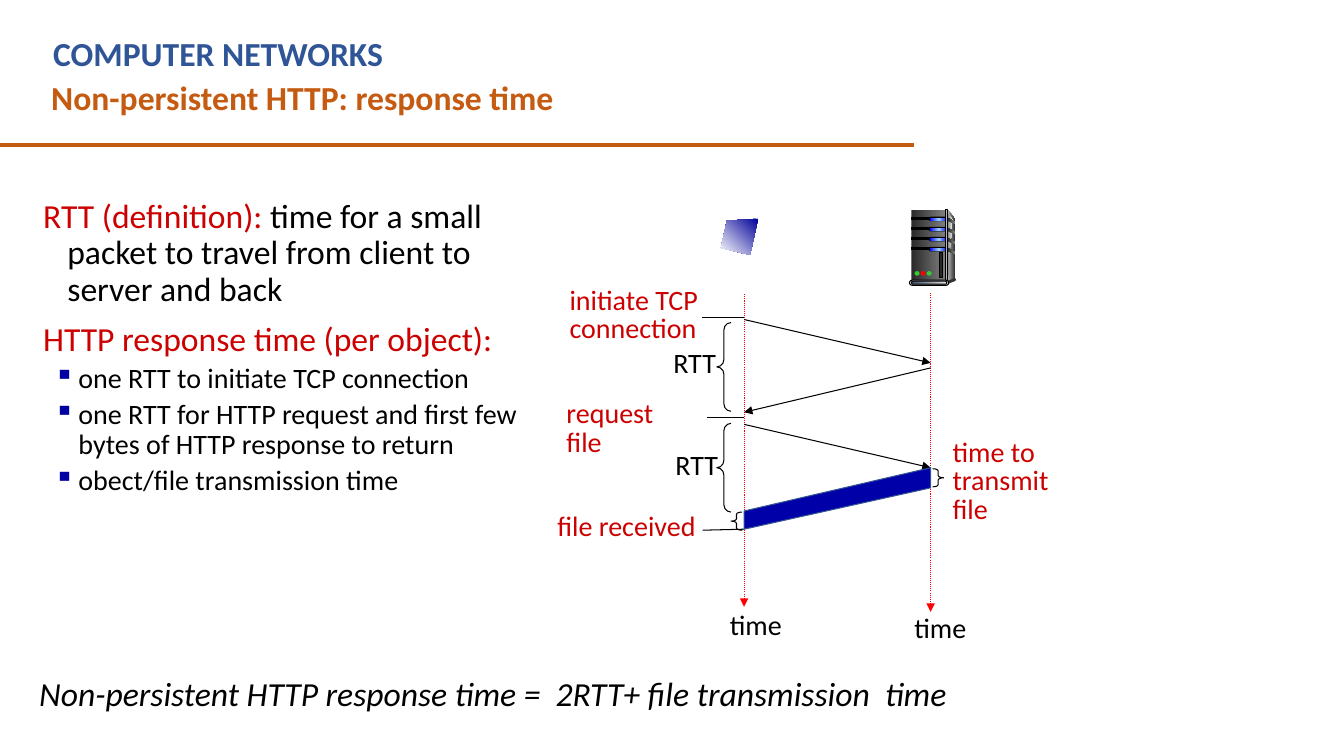
from copy import deepcopy
from dataclasses import dataclass
from typing import Any, Optional

from lxml import etree
from pptx import Presentation
from pptx.dml.color import RGBColor
from pptx.enum.dml import MSO_LINE
from pptx.enum.shapes import MSO_CONNECTOR, MSO_SHAPE
from pptx.enum.text import MSO_AUTO_SIZE
from pptx.oxml.ns import qn
from pptx.util import Emu, Inches, Pt

RECT, ROUND, OVAL = MSO_SHAPE.RECTANGLE, MSO_SHAPE.ROUNDED_RECTANGLE, MSO_SHAPE.OVAL
LEFT_BRACE, RIGHT_BRACE = MSO_SHAPE.LEFT_BRACE, MSO_SHAPE.RIGHT_BRACE
STRAIGHT, DOTTED = MSO_CONNECTOR.STRAIGHT, MSO_LINE.ROUND_DOT
GROW, FIXED = MSO_AUTO_SIZE.SHAPE_TO_FIT_TEXT, MSO_AUTO_SIZE.NONE

BLACK = RGBColor(0x00, 0x00, 0x00)
RED = RGBColor(0xFF, 0x00, 0x00)
CRIMSON = RGBColor(0xCC, 0x00, 0x00)
GREEN = RGBColor(0x33, 0xCC, 0x33)
WHITE = RGBColor(0xFF, 0xFF, 0xFF)
TITLE_BLUE = RGBColor(0x2F, 0x55, 0x97)
ORANGE = RGBColor(0xC5, 0x5A, 0x11)
BULLET_BLUE = RGBColor(0x00, 0x00, 0xA3)
FILE_BLUE = RGBColor(0x00, 0x00, 0xA8)
FILE_EDGE = RGBColor(0x32, 0x54, 0x91)
SCREEN_BLUE = RGBColor(0x00, 0x00, 0x99)
LIGHT_BLUE = RGBColor(0x99, 0xCC, 0xFF)
BLUE = RGBColor(0x00, 0x00, 0xFF)
COAL = RGBColor(0x29, 0x29, 0x29)
DARK = RGBColor(0x33, 0x33, 0x33)
GREY = RGBColor(0x80, 0x80, 0x80)
SILVER = RGBColor(0xDD, 0xDD, 0xDD)
PALE = RGBColor(0xF8, 0xF8, 0xF8)
SLATE = RGBColor(0x44, 0x54, 0x6A)
MIST = RGBColor(0xE7, 0xE6, 0xE6)

COLUMNS, ROWS = 133.3, 75
CELL = Inches(0.1)
CLIENT, SERVER = 73.8, 92.3
Colours = tuple[RGBColor, ...]
Point = tuple[float, float]


@dataclass
class Line:
    start: Point
    end: Point
    colour: RGBColor = BLACK
    width: float = 0.75
    arrow: bool = False
    dotted: bool = False


@dataclass
class Block:
    preset: Any
    area: tuple[float, float, float, float]
    fill: Colours = ()
    line: Optional[RGBColor] = None
    adjust: Optional[float] = None


@dataclass
class Outline:
    points: list[Point]
    fill: Colours
    line: Optional[RGBColor] = None
    angle: float = 0


@dataclass
class Para:
    spans: list[tuple[str, RGBColor]]
    size: float = 20
    spacing: float = 0.85
    before: float = 0
    indent: float = 0
    bullet: bool = False


@dataclass
class Label:
    area: tuple[float, float, float, float]
    paras: list[Para]
    style: dict[str, bool]
    wrap: bool = False
    size_mode: Any = GROW


def cells(*counts: float) -> list[Emu]:
    return [Emu(round(count * CELL)) for count in counts]


def apply(target: Any, values: dict[str, Any]) -> None:
    for name, value in values.items():
        setattr(target, name, value)


def paint(shape: Any, fill: Colours, line: Optional[RGBColor], angle: float = 0) -> None:
    shape.shadow.inherit = False
    if not fill:
        shape.fill.background()
    elif len(fill) == 1:
        shape.fill.solid()
        shape.fill.fore_color.rgb = fill[0]
    else:
        shape.fill.gradient()
        shape.fill.gradient_angle = angle
        stops = shape._element.spPr.find(".//" + qn("a:gsLst"))
        for _ in fill[2:]:
            stops.append(deepcopy(stops[0]))
        for place, (stop, colour) in enumerate(zip(shape.fill.gradient_stops, fill)):
            stop.color.rgb = colour
            stop.position = place / (len(fill) - 1)
    if line is None:
        shape.line.fill.background()
    else:
        shape.line.color.rgb = line
        shape.line.width = Pt(0.75)


def draw_line(shapes: Any, item: Line) -> None:
    connector = shapes.add_connector(STRAIGHT, *cells(*item.start, *item.end))
    connector.line.color.rgb = item.colour
    connector.line.width = Pt(item.width)
    if item.dotted:
        connector.line.dash_style = DOTTED
    properties = connector._element.spPr
    if item.arrow:
        etree.SubElement(properties.find(qn("a:ln")), qn("a:tailEnd"), type="triangle")
    etree.SubElement(properties, qn("a:effectLst"))


def draw_block(shapes: Any, item: Block) -> None:
    shape = shapes.add_shape(item.preset, *cells(*item.area))
    if item.adjust is not None:
        shape.adjustments[0] = item.adjust
    paint(shape, item.fill, item.line)


def draw_outline(shapes: Any, item: Outline) -> None:
    first, *others = [tuple(cells(*point)) for point in item.points]
    builder = shapes.build_freeform(*first)
    builder.add_line_segments(others, close=True)
    paint(builder.convert_to_shape(), item.fill, item.line, item.angle)


def draw_label(shapes: Any, item: Label) -> None:
    frame = shapes.add_textbox(*cells(*item.area)).text_frame
    apply(frame, {"word_wrap": item.wrap, "auto_size": item.size_mode})
    for number, entry in enumerate(item.paras):
        para = frame.add_paragraph() if number else frame.paragraphs[0]
        apply(para, {"line_spacing": entry.spacing, "space_before": Pt(entry.before)})
        properties = para._p.get_or_add_pPr()
        if entry.indent:
            properties.set("marL", str(cells(entry.indent)[0]))
            properties.set("indent", str(cells(-2.4)[0]))
        if entry.bullet:
            colour = etree.SubElement(properties, qn("a:buClr"))
            etree.SubElement(colour, qn("a:srgbClr"), val=str(BULLET_BLUE))
            etree.SubElement(properties, qn("a:buChar"), char="▪")
        for text, tint in entry.spans:
            span = para.add_run()
            span.text = text
            apply(span.font, {"name": "Calibri", "size": Pt(entry.size), **item.style})
            span.font.color.rgb = tint


def draw_server(shapes: Any) -> None:
    tower = shapes.add_group_shape().shapes
    draw_outline(tower, Outline([(94, 20.8), (94.7, 21.7), (94.7, 27.6), (93.8, 27.9)], (SILVER, DARK)))
    draw_block(tower, Block(RECT, (90.4, 20.8, 3.4, 7.1), (COAL, GREY)))
    draw_outline(tower, Outline([(94, 21.2), (94.5, 21.8), (94.2, 24.8), (94, 27.7)], (GREY, PALE)))
    for drive in range(4):
        top = 21.6 + drive
        draw_block(tower, Block(RECT, (90.4, top, 1.9, 0.15), (BLACK,), BLACK))
        draw_block(tower, Block(ROUND, (92.1, top - 0.1, 1.9, 0.45), (BLACK,), adjust=0.5))
        draw_block(tower, Block(ROUND, (92.2, top, 1.8, 0.3), (BLUE, LIGHT_BLUE, BLUE), adjust=0.5))
        slot = [(94, top), (94.7, top + 0.4), (94.7, top + 0.6), (94, top + 0.3)]
        draw_outline(tower, Outline(slot, (COAL, GREY)))
    draw_block(tower, Block(RECT, (93.8, 20.8, 0.2, 7.2), (DARK, SILVER, DARK), BLACK))
    draw_block(tower, Block(OVAL, (94.6, 27.6, 0.2, 0.3), (DARK,)))
    draw_outline(tower, Outline([(93.9, 27.9), (93.9, 28.2), (94.7, 27.9), (94.7, 27.6)], (DARK,)))
    draw_block(tower, Block(ROUND, (90.2, 27.8, 3.9, 0.5), (SILVER,), BLACK, 0.5))
    draw_block(tower, Block(ROUND, (90.4, 27.9, 3.5, 0.3), (SLATE, MIST), BLACK, 0.5))
    for place, colour in enumerate((GREEN, RED, GREEN)):
        draw_block(tower, Block(OVAL, (90.7 + 0.6 * place, 26.9, 0.5, 0.45), (colour,)))
    draw_block(tower, Block(RECT, (93.2, 25.1, 0.3, 2.4), (COAL,), BLACK))


def note(left: float, top: float, width: float, height: float, colour: RGBColor, *lines: str) -> Label:
    return Label((left, top, width, height), [Para([(line, colour)]) for line in lines], {})


def banner(left: float, top: float, width: float, text: str, colour: RGBColor, style: dict[str, bool]) -> Label:
    return Label((left, top, width, 5), [Para([(text, colour)], 24, 1)], style, True)


DEFINITIONS = [
    Para([("RTT (definition):", CRIMSON),
          (" time for a small packet to travel from client to server and back", BLACK)], 24, 0.9, 0, 3.9),
    Para([("HTTP response time (per object):", CRIMSON)], 24, 0.9, 10, 3.9),
] + [Para([(text, BLACK)], 20, 0.9, 4, 5, True) for text in (
    "one RTT to initiate TCP connection",
    "one RTT for HTTP request and first few bytes of HTTP response to return",
    "obect/file transmission time")]

LABELS = [
    banner(4.3, 2.8, 82, "COMPUTER NETWORKS", TITLE_BLUE, {"bold": True}),
    banner(4.1, 7.1, 87.5, "Non-persistent HTTP: response time", ORANGE, {"bold": True}),
    Label((1.8, 19.3, 51.7, 36.5), DEFINITIONS, {}, True, FIXED),
    note(93.5, 43.1, 12.3, 9.6, CRIMSON, "time to", "transmit", "file"),
    note(55.5, 28, 14.9, 6.8, CRIMSON, "initiate TCP", "connection"),
    note(65.8, 34.3, 6.3, 3.9, BLACK, "RTT"),
    note(55.2, 39.3, 14.7, 3.9, CRIMSON, "request file"),
    note(66, 44.4, 6.3, 3.9, BLACK, "RTT"),
    note(54.3, 50.5, 15.7, 3.9, CRIMSON, "file received"),
    note(71.4, 60.3, 7.3, 3.9, BLACK, "time"),
    note(89.7, 60.6, 7.3, 3.9, BLACK, "time"),
    banner(2.9, 66.3, 101.2, "Non-persistent HTTP response time =  2RTT+ file transmission  time",
           BLACK, {"italic": True}),
]
LINES = [
    Line((0, 14.4), (90.7, 14.4), ORANGE, 3),
    Line((CLIENT, 29.2), (CLIENT, 60.2), RED, arrow=True, dotted=True),
    Line((SERVER, 29.1), (SERVER, 60.7), RED, arrow=True, dotted=True),
    Line((CLIENT, 31.7), (SERVER, 36), arrow=True),
    Line((SERVER, 36.5), (CLIENT, 40.9), arrow=True),
    Line((CLIENT, 42.1), (SERVER, 46.4), arrow=True),
    Line((69.6, 31.5), (CLIENT, 31.5)),
    Line((70.1, 41.4), (CLIENT, 41.4)),
    Line((69.7, 52.6), (CLIENT, 52.5)),
]
BRACES = [
    Block(RIGHT_BRACE, (92.5, 46.5, 1.1, 1.8), line=BLACK, adjust=0.2),
    Block(LEFT_BRACE, (72.5, 50.8, 1.1, 1.8), line=BLACK, adjust=0.2),
] + [Block(LEFT_BRACE, (71.1, top, 1.4, 8.8), line=BLACK, adjust=0.52) for top in (32, 42)]
SCREEN = Outline([(75.2, 21.7), (72.1, 21.9), (71.5, 24.6), (74.4, 25.3)], (SCREEN_BLUE, WHITE), angle=225)
FILE_BAND = Outline([(CLIENT, 50.7), (SERVER, 46.4), (SERVER, 48.4), (CLIENT, 52.5)], (FILE_BLUE,), FILE_EDGE)


def main() -> None:
    deck = Presentation()
    apply(deck, dict(zip(("slide_width", "slide_height"), cells(COLUMNS, ROWS))))
    shapes = deck.slides.add_slide(deck.slide_layouts[6]).shapes
    for draw, items in ((draw_line, LINES), (draw_block, BRACES), (draw_label, LABELS)):
        for item in items:
            draw(shapes, item)
    draw_server(shapes)
    for outline in (SCREEN, FILE_BAND):
        draw_outline(shapes, outline)
    deck.save("out.pptx")


if __name__ == "__main__":
    main()
